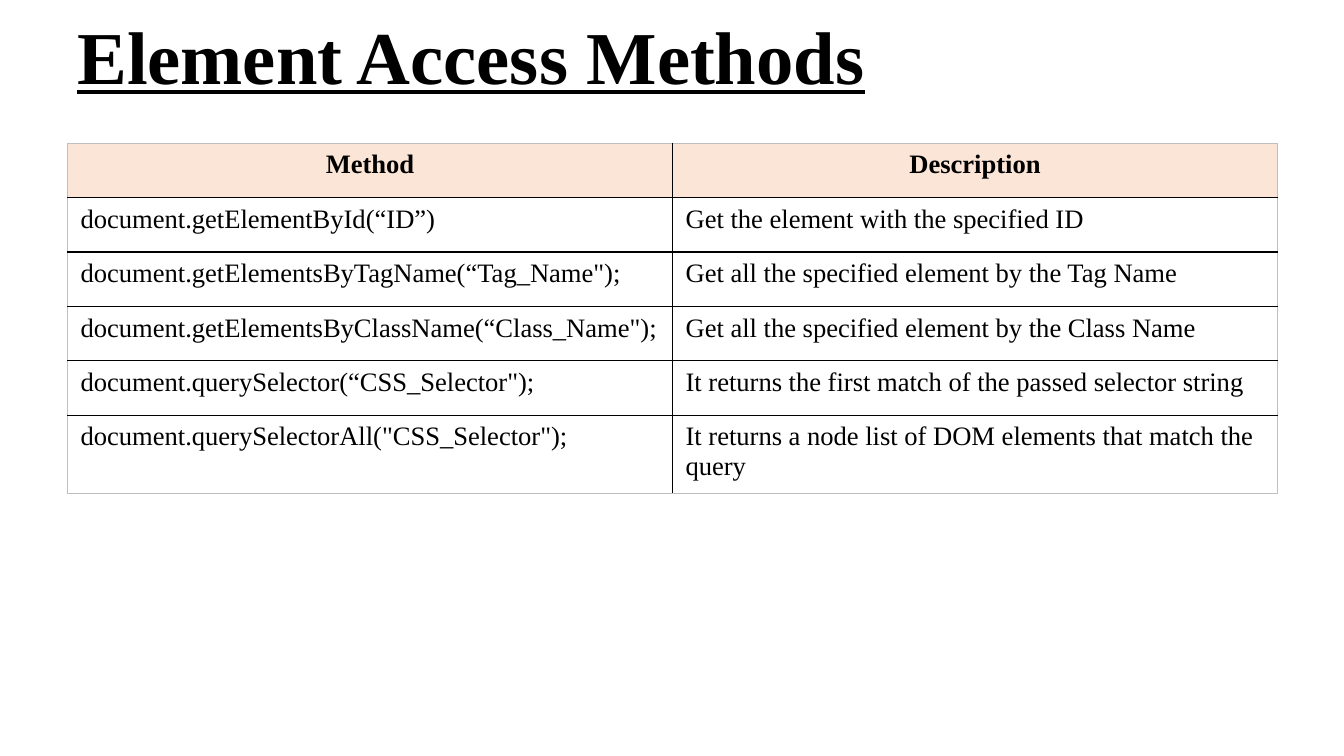
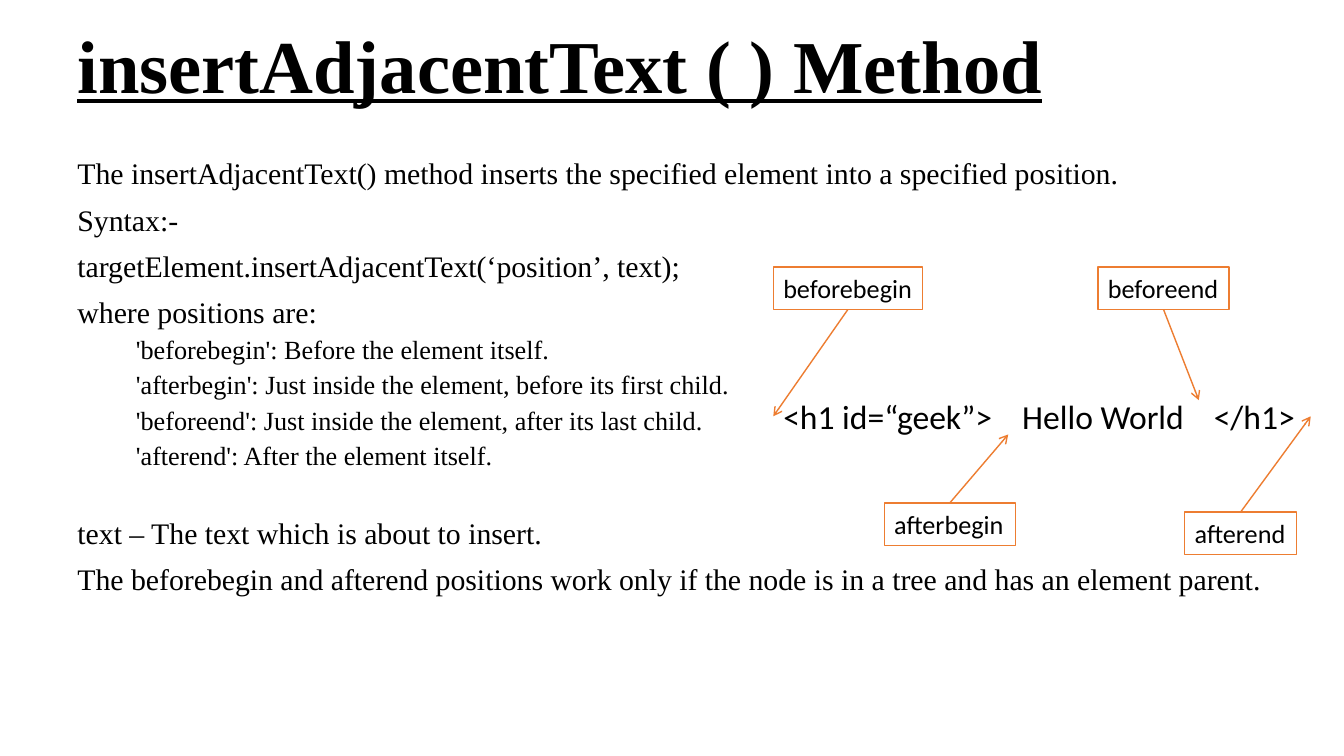
from dataclasses import dataclass

from lxml import etree
from pptx import Presentation
from pptx.dml.color import RGBColor
from pptx.enum import shapes, text
from pptx.oxml import ns
from pptx.util import Inches, Pt

BLACK = RGBColor(0x00, 0x00, 0x00)
WHITE = RGBColor(0xFF, 0xFF, 0xFF)
ORANGE = RGBColor(0xED, 0x7D, 0x31)
PEACH = RGBColor(0xFB, 0xE5, 0xD6)
GREY = RGBColor(0xBF, 0xBF, 0xBF)
SERIF, SANS = "Times New Roman", "Calibri"
MARGIN, CONTENT_WIDTH = 0.67, 12
LABEL_HEIGHT = 0.42

METHODS = [
    ("Method", "Description"),
    ("document.getElementById(“ID”)", "Get the element with the specified ID"),
    ("document.getElementsByTagName(“Tag_Name\");",
     "Get all the specified element by the Tag Name"),
    ("document.getElementsByClassName(“Class_Name\");",
     "Get all the specified element by the Class Name"),
    ("document.querySelector(“CSS_Selector\");",
     "It returns the first match of the passed selector string"),
    ("document.querySelectorAll(\"CSS_Selector\");",
     "It returns a node list of DOM elements that match the query"),
]


@dataclass
class BodyLine:
    words: str
    level: int = 0
    extra_gap: float = 0


@dataclass
class MarkupPart:
    words: str
    left: float
    width: float


@dataclass
class PositionLabel:
    words: str
    left: float
    top: float
    width: float
    target: tuple[float, float]


BODY = [
    BodyLine("The insertAdjacentText() method inserts the specified element "
             "into a specified position."),
    BodyLine("Syntax:-"),
    BodyLine("targetElement.insertAdjacentText(‘position’, text);"),
    BodyLine("where positions are:"),
    BodyLine("'beforebegin': Before the element itself.", 1),
    BodyLine("'afterbegin': Just inside the element, before its first child.", 1),
    BodyLine("'beforeend': Just inside the element, after its last child.", 1),
    BodyLine("'afterend': After the element itself.", 1),
    BodyLine("text – The text which is about to insert.", extra_gap=24),
    BodyLine("The beforebegin and afterend positions work only if the node is "
             "in a tree and has an element parent."),
]
MARKUP = [
    MarkupPart("<h1 id=“geek”>", 7.67, 2.35),
    MarkupPart("Hello World", 10.04, 1.88),
    MarkupPart("</h1>", 11.94, 1.2),
]
LABELS = [
    PositionLabel("beforebegin", 7.67, 2.65, 1.48, (7.67, 4.13)),
    PositionLabel("beforeend", 10.89, 2.65, 1.3, (11.89, 3.97)),
    PositionLabel("afterbegin", 8.77, 4.99, 1.3, (10, 4.31)),
    PositionLabel("afterend", 11.75, 5.08, 1.11, (13, 4.13)),
]


# Shared text helpers
def style_text(para, size: float, font: str, bold: bool = False,
               underline: bool = False) -> None:
    for span in para.runs:
        span.font.size = Pt(size)
        span.font.name = font
        span.font.bold = bold
        span.font.underline = underline
        span.font.color.rgb = BLACK


def add_text_box(page, left: float, top: float, width: float, height: float):
    box = page.shapes.add_textbox(Inches(left), Inches(top),
                                  Inches(width), Inches(height))
    box.text_frame.word_wrap = True
    return box.text_frame


def add_title(page, words: str, top: float) -> None:
    frame = add_text_box(page, MARGIN, top, CONTENT_WIDTH, 1.25)
    frame.vertical_anchor = text.MSO_ANCHOR.MIDDLE
    frame.text = words
    frame.paragraphs[0].line_spacing = 0.9
    style_text(frame.paragraphs[0], 53.3, SERIF, bold=True, underline=True)


# Table of methods
def add_border(cell, side: str, color: RGBColor, width: float) -> None:
    line = etree.SubElement(cell._tc.get_or_add_tcPr(), ns.qn(f"a:ln{side}"),
                            w=str(Pt(width)))
    fill = etree.SubElement(line, ns.qn("a:solidFill"))
    etree.SubElement(fill, ns.qn("a:srgbClr"), val=str(color))


def add_method_table(page) -> None:
    heights = [0.54] * (len(METHODS) - 1) + [0.76]
    table = page.shapes.add_table(
        len(METHODS), 2, Inches(MARGIN), Inches(1.42),
        Inches(CONTENT_WIDTH), Inches(sum(heights))).table
    table.horz_banding = False
    last_row = len(METHODS) - 1
    for row, (entries, height) in enumerate(zip(METHODS, heights)):
        table.rows[row].height = Inches(height)
        for column, words in enumerate(entries):
            cell = table.cell(row, column)
            cell.margin_left = cell.margin_right = Inches(0.13)
            cell.margin_top = cell.margin_bottom = Inches(0.07)
            outer = {"L": column == 0, "R": column == 1,
                     "T": row == 0, "B": row == last_row}
            for side, is_outer in outer.items():
                add_border(cell, side, *((GREY, 0.5) if is_outer else (BLACK, 1)))
            if row == 0:
                cell.fill.solid()
                cell.fill.fore_color.rgb = PEACH
            else:
                cell.fill.background()
            cell.text_frame.text = words
            para = cell.text_frame.paragraphs[0]
            para.alignment = text.PP_ALIGN.CENTER if row == 0 else text.PP_ALIGN.LEFT
            style_text(para, 19, SERIF, bold=row == 0)


# Explanation and diagram
def add_body(page) -> None:
    frame = add_text_box(page, MARGIN, 1.53, CONTENT_WIDTH, 5.44)
    for index, line in enumerate(BODY):
        para = frame.paragraphs[0] if index == 0 else frame.add_paragraph()
        para.text = line.words
        para.line_spacing = 0.9
        para.space_before = Pt((5 if line.level else 10) + line.extra_gap)
        if line.level:
            para.level = line.level
            properties = para._p.get_or_add_pPr()
            properties.set("marL", str(Inches(0.58)))
            properties.set("indent", "0")
        style_text(para, 18.7 if line.level else 21.3, SERIF)


def add_markup(page, part: MarkupPart) -> None:
    frame = add_text_box(page, part.left, 3.88, part.width, 0.5)
    frame.text = part.words
    style_text(frame.paragraphs[0], 24, SANS)


def add_label(page, label: PositionLabel) -> None:
    box = page.shapes.add_shape(
        shapes.MSO_SHAPE.RECTANGLE, Inches(label.left), Inches(label.top),
        Inches(label.width), Inches(LABEL_HEIGHT))
    box.shadow.inherit = False
    box.fill.solid()
    box.fill.fore_color.rgb = WHITE
    box.line.color.rgb = ORANGE
    box.line.width = Pt(1)
    box.text_frame.word_wrap = False
    box.text_frame.text = label.words
    style_text(box.text_frame.paragraphs[0], 18.7, SANS)


def add_arrow(page, label: PositionLabel) -> None:
    end_x, end_y = label.target
    start_x = label.left + label.width / 2
    start_y = label.top + (LABEL_HEIGHT if end_y > label.top else 0)
    arrow = page.shapes.add_connector(
        shapes.MSO_CONNECTOR.STRAIGHT, Inches(start_x), Inches(start_y),
        Inches(end_x), Inches(end_y))
    arrow.line.color.rgb = ORANGE
    arrow.line.width = Pt(1)
    etree.SubElement(arrow.line._get_or_add_ln(), ns.qn("a:tailEnd"), type="arrow")
    etree.SubElement(arrow._element.spPr, ns.qn("a:effectLst"))


def main() -> None:
    deck = Presentation()
    deck.slide_width, deck.slide_height = Inches(13.33), Inches(7.5)
    blank = deck.slide_layouts[6]

    # Element access methods
    page = deck.slides.add_slide(blank)
    add_title(page, "Element Access Methods", -0.03)
    add_method_table(page)

    # insertAdjacentText method
    page = deck.slides.add_slide(blank)
    add_body(page)
    add_title(page, "insertAdjacentText ( ) Method", 0.06)
    for part in MARKUP:
        add_markup(page, part)
    for label in LABELS:
        add_label(page, label)
        add_arrow(page, label)

    deck.save("out.pptx")


if __name__ == "__main__":
    main()
